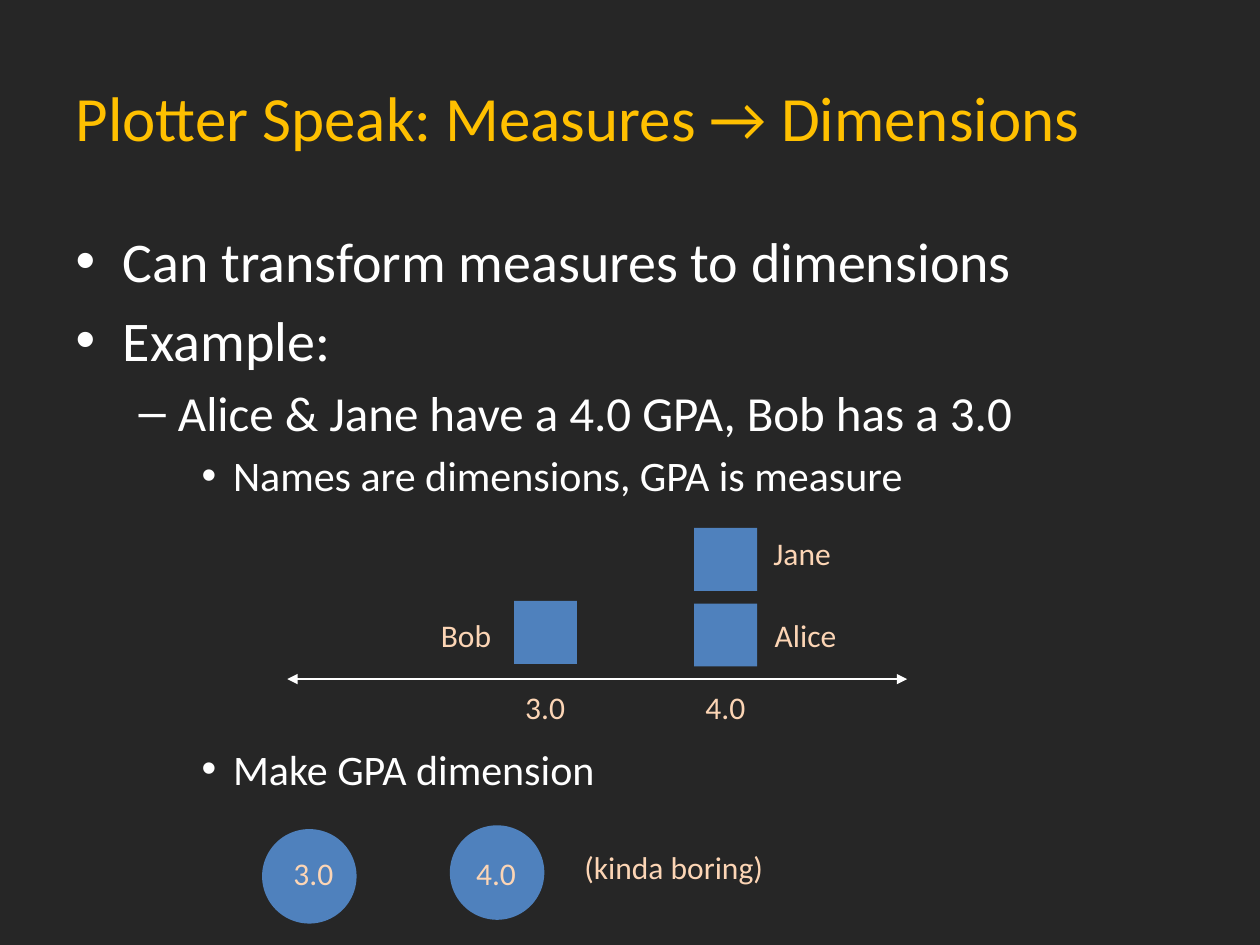
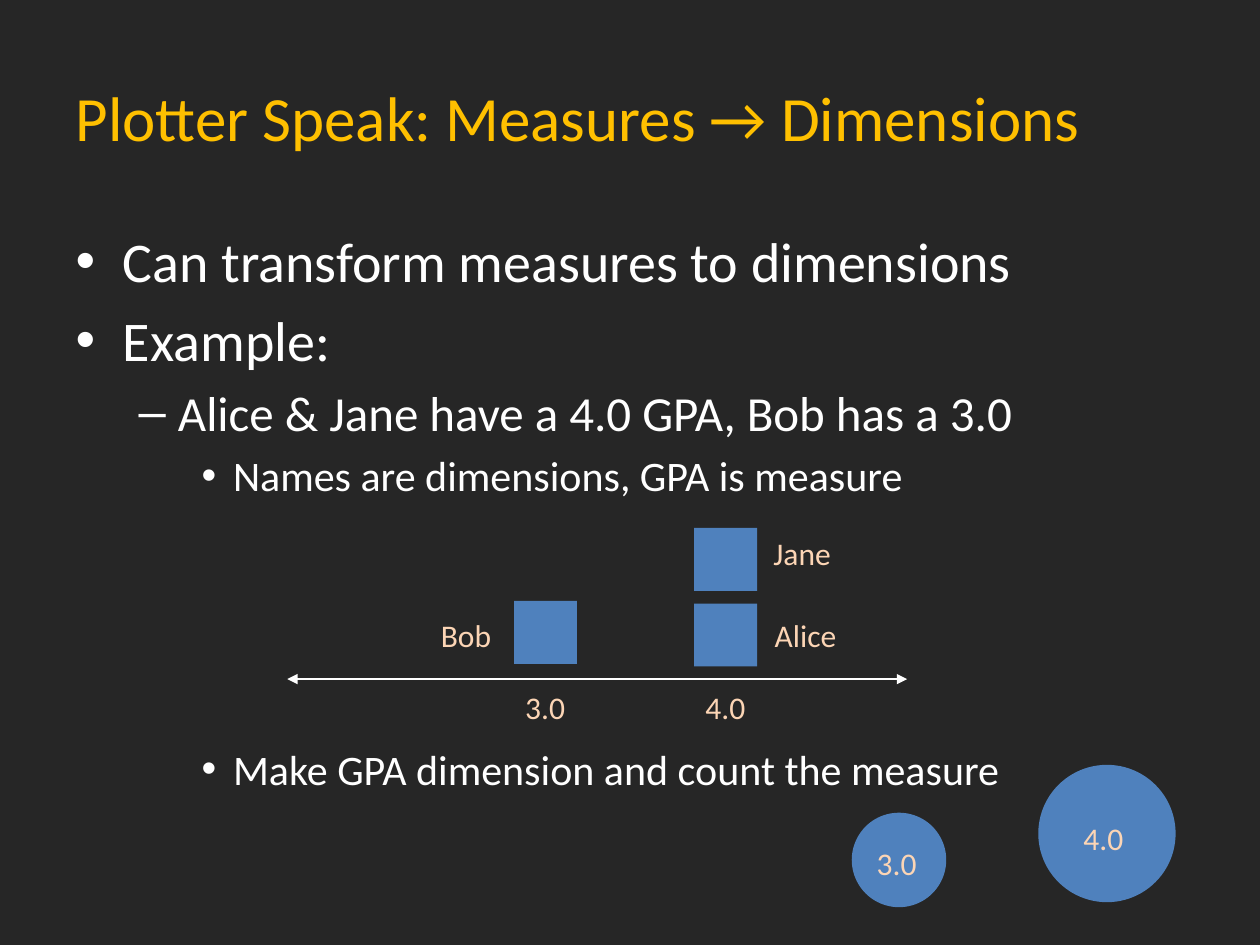
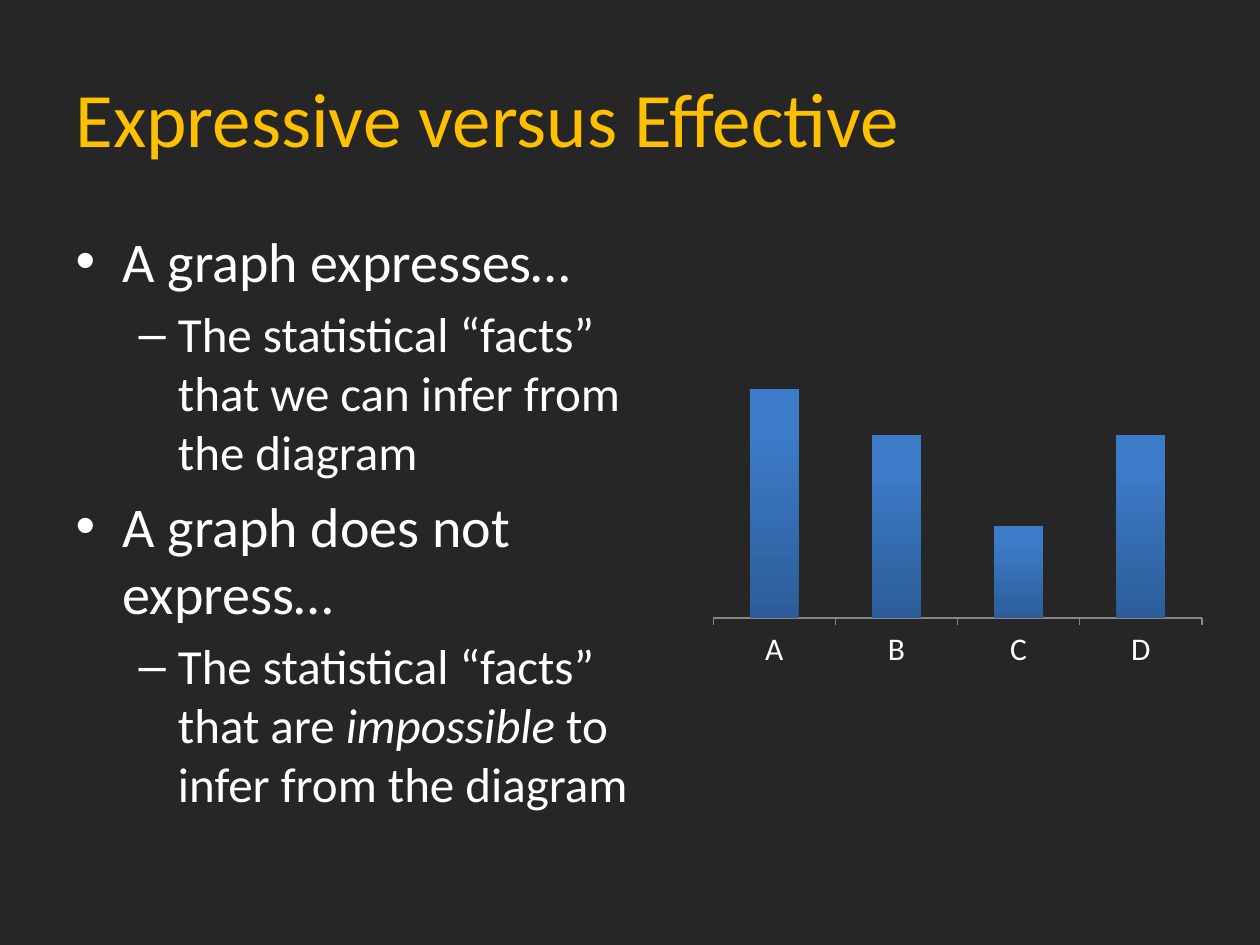
from dataclasses import dataclass

from lxml.etree import SubElement
from pptx import Presentation
from pptx.chart.data import CategoryChartData as ChartData
from pptx.dml.color import RGBColor
from pptx.enum.chart import XL_CHART_TYPE as Kind, XL_TICK_MARK as Tick
from pptx.enum.chart import XL_TICK_LABEL_POSITION as Spot
from pptx.enum.shapes import MSO_CONNECTOR as Wire, MSO_SHAPE as Form
from pptx.enum.text import MSO_ANCHOR as Anchor, MSO_AUTO_SIZE as Fit, PP_ALIGN as Align
from pptx.oxml.ns import qn
from pptx.slide import Slide
from pptx.util import Inches, Pt

DARK = RGBColor(0x26, 0x26, 0x26)
GOLD = RGBColor(0xFF, 0xC0, 0x00)
WHITE = RGBColor(0xFF, 0xFF, 0xFF)
BLUE = RGBColor(0x4F, 0x81, 0xBD)
PEACH = RGBColor(0xFC, 0xD5, 0xB5)
GREY = RGBColor(0x86, 0x86, 0x86)
DEEP = RGBColor(0x2C, 0x5D, 0x98)
BRIGHT = RGBColor(0x3C, 0x7B, 0xC7)

FACE = "Calibri"
SIZES = (32, 28, 24)
WIDE, HIGH = Inches(10), Inches(7.5)
COLS, ROWS = 100, 75


@dataclass(frozen=True)
class Item:
    text: str
    level: int = 0
    gap: float | None = None


@dataclass(frozen=True)
class Label:
    text: str
    col: float
    row: float
    width: float = 5.2


@dataclass(frozen=True)
class Block:
    form: Form
    col: float
    row: float
    side: float


AXIS_ROW = 53.9
GPA_BLOCKS = [
    Block(Form.RECTANGLE, 55.1, 47.9, 5),
    Block(Form.RECTANGLE, 55.1, 41.9, 5),
    Block(Form.RECTANGLE, 40.8, 47.7, 5),
]
GPA_LABELS = [
    Label("3.0", 40.7, 54.1),
    Label("4.0", 55, 54.1),
    Label("Jane", 60.4, 41.9, 6.6),
    Label("Alice", 60.5, 48.4, 7),
    Label("Bob", 34, 48.4, 6.1),
]


def x(col: float) -> int:
    return round(WIDE * col / COLS)


def y(row: float) -> int:
    return round(HIGH * row / ROWS)


def style(font, size: float, color: RGBColor) -> None:
    font.name = FACE
    font.size = Pt(size)
    font.color.rgb = color


def start(deck, title: str, size: float, items: list[Item], width: float = 90) -> Slide:
    slide = deck.slides.add_slide(deck.slide_layouts[1])
    head = slide.shapes.title
    head.text_frame.text = title
    head.text_frame.vertical_anchor = Anchor.MIDDLE
    head.text_frame.auto_size = Fit.NONE
    par = head.text_frame.paragraphs[0]
    par.alignment = Align.LEFT
    style(par.font, size, GOLD)

    body = slide.placeholders[1]
    body.left, body.top, body.width, body.height = x(5), y(17.5), x(width), y(49.5)
    frame = body.text_frame
    frame.auto_size = Fit.NONE
    for i, item in enumerate(items):
        par = frame.add_paragraph() if i else frame.paragraphs[0]
        par.level = item.level
        if i == 0:
            par.space_before = Pt(0)
        elif item.gap is not None:
            par.space_before = Pt(item.gap)
        style(par.font, SIZES[item.level], WHITE)
        for j, part in enumerate(item.text.split("*")):
            run = par.add_run()
            run.text = part
            if j % 2:
                run.font.italic = True
    return slide


def draw(slide: Slide, blocks: list[Block], labels: list[Label]) -> None:
    for block in blocks:
        shape = slide.shapes.add_shape(
            block.form, x(block.col), y(block.row), x(block.side), y(block.side))
        shape.shadow.inherit = False
        shape.fill.solid()
        shape.fill.fore_color.rgb = BLUE
        shape.line.fill.background()
    for label in labels:
        box = slide.shapes.add_textbox(x(label.col), y(label.row), x(label.width), y(4))
        frame = box.text_frame
        frame.word_wrap = False
        frame.auto_size = Fit.SHAPE_TO_FIT_TEXT
        frame.text = label.text
        style(frame.paragraphs[0].font, 18, PEACH)


def scale(slide: Slide) -> None:
    wire = slide.shapes.add_connector(
        Wire.STRAIGHT, x(22.8), y(AXIS_ROW), x(72), y(AXIS_ROW))
    wire.line.color.rgb = WHITE
    wire.line.width = Pt(1.5)
    line = wire.line._get_or_add_ln()
    for end in ("a:headEnd", "a:tailEnd"):
        SubElement(line, qn(end), type="triangle")
    SubElement(wire._element.spPr, qn("a:effectLst"))
    draw(slide, GPA_BLOCKS, GPA_LABELS)


def gpa(deck, last: str, blocks: list[Block], labels: list[Label]) -> None:
    slide = start(deck, "Plotter Speak: Measures → Dimensions", 36, [
        Item("Can transform measures to dimensions"),
        Item("Example:"),
        Item("Alice & Jane have a 4.0 GPA, Bob has a 3.0", 1),
        Item("Names are dimensions, GPA is measure", 2),
        Item(last, 2, 139),
    ])
    scale(slide)
    draw(slide, blocks, labels)


def bars(slide: Slide) -> None:
    data = ChartData()
    data.categories = ["A", "B", "C", "D"]
    data.add_series("Series 1", (100, 80, 40, 80))
    chart = slide.shapes.add_chart(
        Kind.COLUMN_CLUSTERED, x(55.8), y(26.7), x(40.4), y(26.9), data).chart
    chart.has_legend = False
    chart.has_title = False
    style(chart.font, 18, WHITE)
    plot = chart.plots[0]
    plot.gap_width = 150
    plot.vary_by_categories = False
    fill = plot.series[0].format.fill
    fill.gradient()
    fill.gradient_angle = 90
    for stop, color, place in zip(fill.gradient_stops, (DEEP, BRIGHT), (0, 0.8)):
        stop.color.rgb = color
        stop.position = place
    axis = chart.value_axis
    axis.visible = False
    axis.has_major_gridlines = False
    axis.minimum_scale, axis.maximum_scale = 0, 120
    base = chart.category_axis
    base.major_tick_mark = Tick.OUTSIDE
    base.tick_label_position = Spot.NEXT_TO_AXIS
    base.format.line.color.rgb = GREY
    style(base.tick_labels.font, 18, WHITE)


def main() -> None:
    deck = Presentation()
    deck.slide_width, deck.slide_height = WIDE, HIGH
    back = deck.slide_master.background.fill
    back.solid()
    back.fore_color.rgb = DARK

    gpa(deck, "Make GPA dimension",
        [Block(Form.OVAL, 20.8, 65.8, 7.5), Block(Form.OVAL, 35.7, 65.5, 7.5)],
        [Label("3.0", 22.3, 67.3), Label("4.0", 36.8, 67.3),
         Label("(kinda boring)", 45.4, 66.8, 16.4)])
    gpa(deck, "Make GPA dimension and count the measure",
        [Block(Form.OVAL, 67.6, 64.5, 7.5), Block(Form.OVAL, 82.4, 60.7, 10.9)],
        [Label("3.0", 68.6, 66.5), Label("4.0", 85, 64.5)])

    slide = start(deck, "Expressive versus Effective", 44, [
        Item("A graph expresses…"),
        Item("The statistical “facts” that we can infer from the diagram", 1),
        Item("A graph does not express…"),
        Item("The statistical “facts” that are *impossible* to infer from the diagram", 1),
    ], 47.5)
    bars(slide)
    deck.save("out.pptx")


if __name__ == "__main__":
    main()
